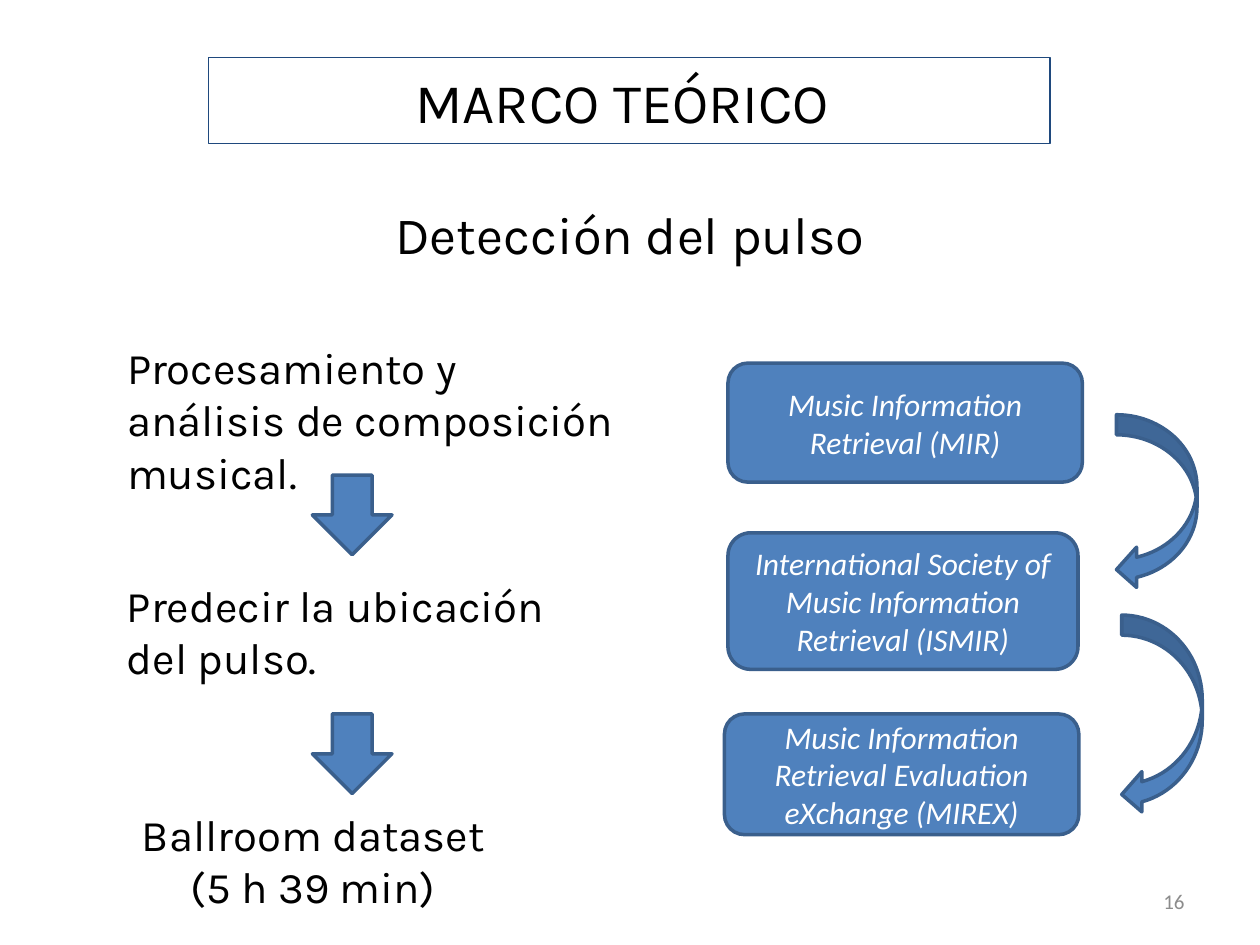
import pptx
import pptx.util
import pptx.dml.color
import pptx.enum.shapes
import pptx.enum.text
from dataclasses import dataclass

Pt = pptx.util.Pt
Shape = pptx.enum.shapes.MSO_SHAPE
Anchor = pptx.enum.text.MSO_ANCHOR
Align = pptx.enum.text.PP_ALIGN


@dataclass(frozen=True)
class Theme:
    black: str = "000000"
    white: str = "FFFFFF"
    gray: str = "8C8C8C"
    blue: str = "4F81BD"
    outline: str = "3A5F8C"
    navy: str = "1F497D"
    heading: str = "Karla"
    body: str = "Calibri"
    title_size: float = 32
    subtitle_size: float = 30
    step_size: float = 25
    box_size: float = 18
    number_size: float = 12


THEME = Theme()


def rgb(value):
    return pptx.dml.color.RGBColor.from_string(value)


def write(shape, text, name, size, color, align=Align.LEFT, anchor=Anchor.TOP, italic=None):
    frame = shape.text_frame
    frame.word_wrap = True
    frame.vertical_anchor = anchor
    paragraph = frame.paragraphs[0]
    paragraph.alignment = align
    run = paragraph.add_run()
    run.text = text
    formats = {"name": name, "size": Pt(size), "italic": italic}
    for attribute, value in formats.items():
        setattr(run.font, attribute, value)
    run.font.color.rgb = rgb(color)


def add_text(slide, bounds, text, **formats):
    box = slide.shapes.add_textbox(*map(Pt, bounds))
    write(box, text, **formats)


def add_figure(slide, kind, bounds, fill=THEME.blue, line=THEME.outline, weight=2):
    shape = slide.shapes.add_shape(kind, *map(Pt, bounds))
    shape.shadow.inherit = False
    if fill:
        shape.fill.solid()
        shape.fill.fore_color.rgb = rgb(fill)
    else:
        shape.fill.background()
    shape.line.color.rgb = rgb(line)
    shape.line.width = Pt(weight)
    return shape


def add_headings(slide):
    title = add_figure(slide, Shape.RECTANGLE, (119, 33, 481, 49),
                       fill=None, line=THEME.navy, weight=0.75)
    write(title, "MARCO TEÓRICO ", name=THEME.heading, size=THEME.title_size,
          color=THEME.black, align=Align.CENTER, anchor=Anchor.MIDDLE)
    add_text(slide, (42, 112, 636, 44), "Detección del pulso", name=THEME.heading,
             size=THEME.subtitle_size, color=THEME.black, align=Align.CENTER)


def add_steps(slide):
    steps = [
        (191, 294.5, "Procesamiento y análisis de composición musical.", Align.LEFT),
        (327, 272, "Predecir la ubicación del pulso.", Align.LEFT),
        (458, 227, "Ballroom dataset (5 h 39 min)", Align.CENTER),
    ]
    for top, width, text, align in steps:
        add_text(slide, (65.5, top, width, 68), text, name=THEME.heading,
                 size=THEME.step_size, color=THEME.black, align=align)
    for top in (271.5, 408):
        add_figure(slide, Shape.DOWN_ARROW, (178.5, top, 45.5, 45.5))


def add_organizations(slide):
    organizations = [
        ((416, 207.5, 202.5, 68), "Music Information Retrieval (MIR)"),
        ((416, 304.5, 200, 78),
         "International Society of Music Information Retrieval (ISMIR)"),
        ((414, 408, 202.5, 69), "Music Information Retrieval Evaluation eXchange (MIREX)"),
    ]
    for bounds, text in organizations:
        box = add_figure(slide, Shape.ROUNDED_RECTANGLE, bounds)
        write(box, text, name=THEME.body, size=THEME.box_size, color=THEME.white,
              align=Align.CENTER, anchor=Anchor.MIDDLE, italic=True)
    for bounds in ((638, 237, 46, 100), (641, 351.5, 46, 114)):
        add_figure(slide, Shape.CURVED_LEFT_ARROW, bounds)


def main():
    presentation = pptx.Presentation()
    presentation.slide_width = Pt(720)
    presentation.slide_height = Pt(540)
    slide = presentation.slides.add_slide(presentation.slide_layouts[6])
    add_headings(slide)
    add_steps(slide)
    add_organizations(slide)
    add_text(slide, (516, 500.5, 168, 29), "16", name=THEME.body, size=THEME.number_size,
             color=THEME.gray, align=Align.RIGHT, anchor=Anchor.MIDDLE)
    presentation.save("out.pptx")


if __name__ == "__main__":
    main()
